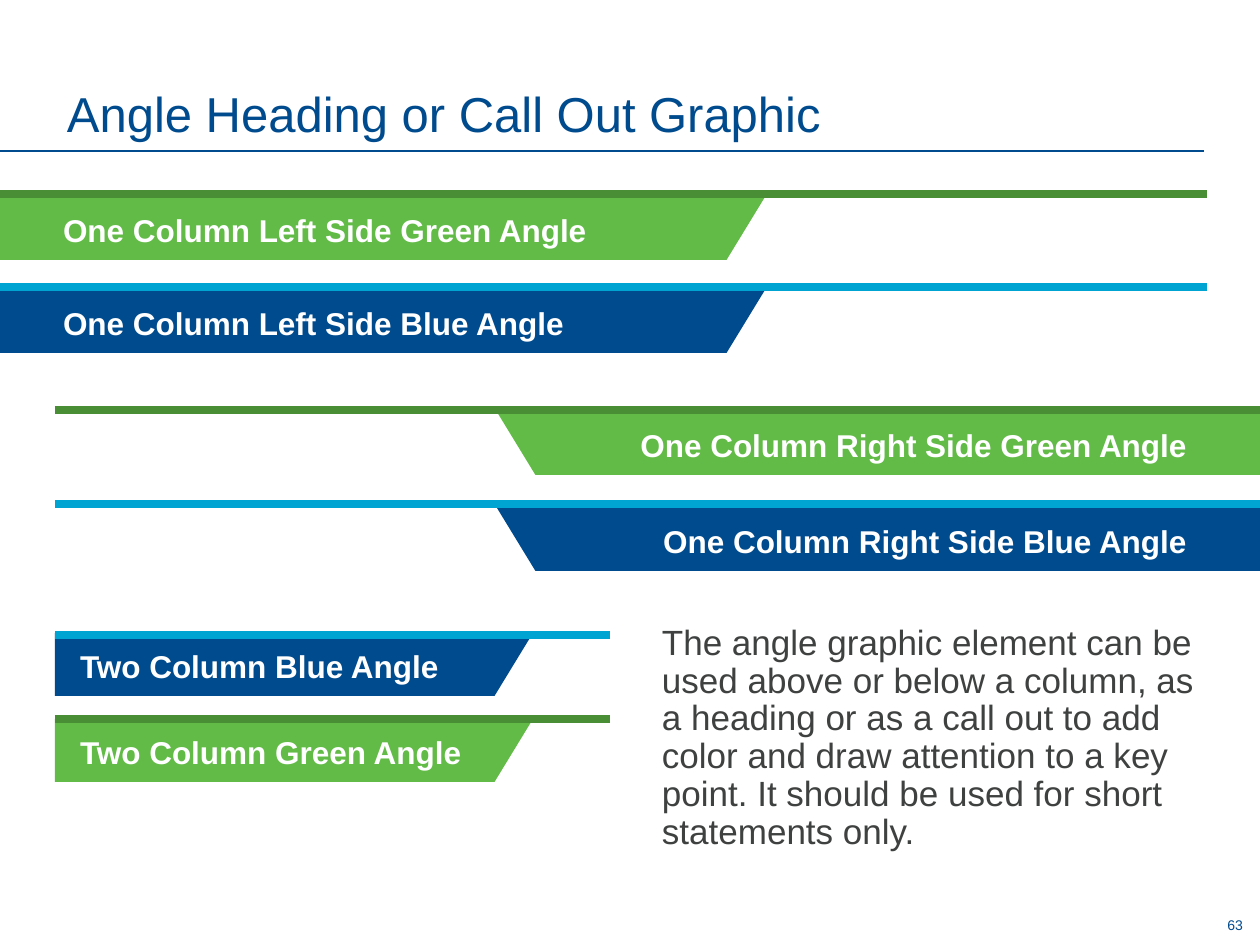
"""Build a slide of angle headings in one-column and two-column widths."""
import pptx
import pptx.util
import pptx.dml.color
import pptx.enum.shapes
import pptx.enum.text
import pptx.oxml.ns
import lxml.etree

PX = 914400 // 126
BLUE = pptx.dml.color.RGBColor(0x00, 0x4B, 0x8D)
CYAN = pptx.dml.color.RGBColor(0x00, 0xA4, 0xD2)
GREEN = pptx.dml.color.RGBColor(0x62, 0xBB, 0x46)
DARK_GREEN = pptx.dml.color.RGBColor(0x49, 0x8D, 0x34)
GRAY = pptx.dml.color.RGBColor(0x3F, 0x40, 0x40)
WHITE = pptx.dml.color.RGBColor(0xFF, 0xFF, 0xFF)
SHAPE = pptx.enum.shapes.MSO_SHAPE
ALIGN = pptx.enum.text.PP_ALIGN
ANCHOR = pptx.enum.text.MSO_ANCHOR

prs = pptx.Presentation()
prs.slide_width = 1260 * PX
prs.slide_height = 945 * PX
s = prs.slides.add_slide(prs.slide_layouts[6])


def add_text(box, text, size, color, spacing=1.0, bold=False,
             align=ALIGN.LEFT, anchor=ANCHOR.TOP, insets=(13, 13)):
    sp = s.shapes.add_textbox(*[v * PX for v in box])
    tf = sp.text_frame
    tf.word_wrap = True
    tf.vertical_anchor = anchor
    tf.margin_left, tf.margin_right = [v * PX for v in insets]
    p = tf.paragraphs[0]
    p.alignment = align
    p.line_spacing = spacing
    r = p.add_run()
    r.text = text
    r.font.name = "Arial"
    r.font.size = pptx.util.Pt(size)
    r.font.bold = bold
    r.font.color.rgb = color
    return p


def add_line(x1, x2, y, color, width):
    ln = s.shapes.add_connector(pptx.enum.shapes.MSO_CONNECTOR.STRAIGHT,
                                x1 * PX, y * PX, x2 * PX, y * PX)
    ln.line.color.rgb = color
    ln.line.width = pptx.util.Pt(width)
    lxml.etree.SubElement(ln._element.spPr, pptx.oxml.ns.qn("a:effectLst"))


add_line(0, 1204, 151, BLUE, 0.75)
add_text((54, 18, 1152, 131), "Angle Heading or Call Out Graphic", 28, BLUE,
         spacing=0.85, anchor=ANCHOR.BOTTOM)

layouts = {
    "left": dict(rule=(0, 1207), slant=(483, 282), block=(0, 566),
                 label=(0, 727), insets=(63, 13), align=ALIGN.LEFT),
    "right": dict(rule=(55, 1260), slant=(497, 282), block=(697, 563),
                  label=(533, 727), insets=(13, 73), align=ALIGN.RIGHT),
    "half": dict(rule=(55, 610), slant=(357, 176), block=(55, 352),
                 label=(55, 437), insets=(25, 13), align=ALIGN.LEFT),
}
headings = [
    ("left", 194, 197, GREEN, DARK_GREEN, "One Column Left Side Green Angle"),
    ("left", 287, 290, BLUE, CYAN, "One Column Left Side Blue Angle"),
    ("right", 410, 412, GREEN, DARK_GREEN, "One Column Right Side Green Angle"),
    ("right", 504, 508, BLUE, CYAN, "One Column Right Side Blue Angle"),
    ("half", 635, 633, BLUE, CYAN, "Two Column Blue Angle"),
    ("half", 719, 719, GREEN, DARK_GREEN, "Two Column Green Angle"),
]
for side, rule_y, top, fill, rule_color, text in headings:
    lay = layouts[side]
    group = s.shapes.add_group_shape()
    for kind, (x, w) in ((SHAPE.PARALLELOGRAM, lay["slant"]),
                         (SHAPE.RECTANGLE, lay["block"])):
        sp = group.shapes.add_shape(kind, x * PX, top * PX, w * PX, 63 * PX)
        sp.shadow.inherit = False
        sp.fill.solid()
        sp.fill.fore_color.rgb = fill
        sp.line.fill.background()
        if kind == SHAPE.PARALLELOGRAM:
            sp.adjustments[0] = 0.61
            if side == "right":
                sp._element.spPr.xfrm.set("flipH", "1")
    add_line(*lay["rule"], rule_y, rule_color, 4.5)
    x, w = lay["label"]
    add_text((x, top + 6, w, 52), text, 18, WHITE, spacing=1.05, bold=True,
             align=lay["align"], insets=lay["insets"])

p = add_text((649, 619, 582, 242),
             "The angle graphic element can be used above or below a column, "
             "as a heading or as a call out to add color and draw attention "
             "to a key point. It should be used for short statements only.",
             20, GRAY, spacing=0.9)
p.space_before = p.space_after = pptx.util.Pt(3)
add_text((1182, 911, 74, 27), "63", 8, BLUE, align=ALIGN.RIGHT,
         anchor=ANCHOR.MIDDLE)

prs.save("out.pptx")
